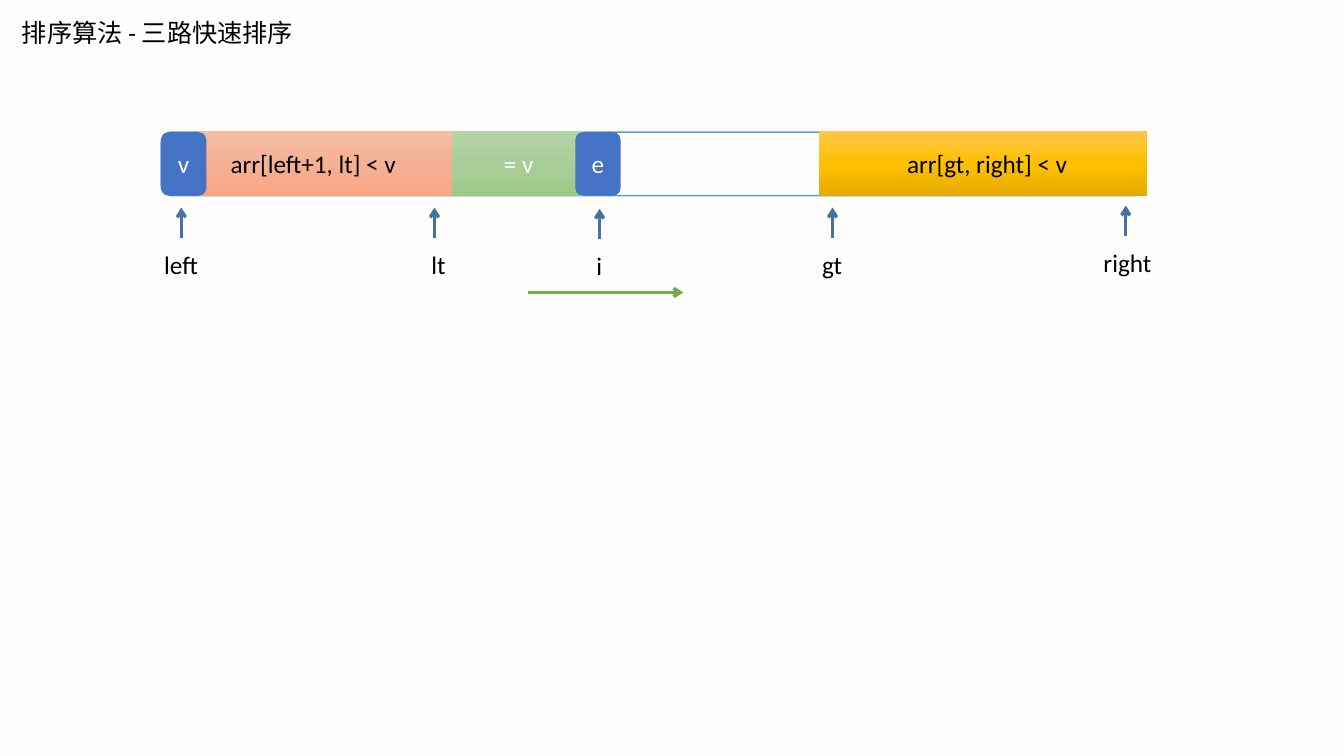
from copy import deepcopy
from lxml import etree
from pptx import Presentation
from pptx import util as u
from pptx.dml import color
from pptx.enum import shapes, text
from pptx.oxml import ns

TITLE = "排序算法 - 三路快速排序"
BARS = [
    ("rect", 4.98, 3.3, 6.45, 1.63, ["F7BDA5", "F5B196", "F8A582"], ""),
    ("round", 4.06, 3.33, 1.14, 1.6, ["4472C4"], "v"),
    ("rect", 20.65, 3.3, 8.26, 1.65, ["FFC64B", "FFC000", "E3AB00"], ""),
    ("rect", 11.38, 3.3, 3.38, 1.63, ["B5D5A7", "AACE9A", "9CC987"], "= v"),
    ("round", 14.5, 3.33, 1.14, 1.6, ["4472C4"], "e"),
]
RANGES = [("arr[left+1, lt] < v", 5.56), ("arr[gt, right] < v", 22.61)]
MARKS = [
    ("left", 3.89, 1.7, 4.57, 0),
    ("lt", 10.62, 0.97, 10.95, 0),
    ("gt", 20.47, 1.14, 20.98, 0),
    ("right", 27.56, 1.8, 28.37, -0.05),
    ("i", 14.78, 0.97, 15.11, 0.03),
]
KINDS = {
    "rect": shapes.MSO_SHAPE.RECTANGLE,
    "round": shapes.MSO_SHAPE.ROUNDED_RECTANGLE,
}


def rgb(code):
    return color.RGBColor.from_string(code)


def cm(*nums):
    return [u.Cm(n) for n in nums]


def write(shape, words, ink="000000", align=text.PP_ALIGN.LEFT,
          anchor=text.MSO_ANCHOR.TOP, grow=True):
    frame = shape.text_frame
    frame.word_wrap = True
    frame.vertical_anchor = anchor
    if grow:
        frame.auto_size = text.MSO_AUTO_SIZE.SHAPE_TO_FIT_TEXT
    line = frame.paragraphs[0]
    line.alignment = align
    line.line_spacing = 1.0
    run = line.add_run()
    run.text = words
    run.font.size = u.Pt(18)
    run.font.name = "Calibri"
    run.font.color.rgb = rgb(ink)


def label(home, words, *box):
    write(home.add_textbox(*cm(*box)), words)


def block(home, kind, *box):
    shape = home.add_shape(KINDS[kind], *cm(*box))
    shape.shadow.inherit = False
    return shape


def paint(shape, tones):
    shape.line.fill.background()
    fill = shape.fill
    if len(tones) == 1:
        fill.solid()
        fill.fore_color.rgb = rgb(tones[0])
        return
    fill.gradient()
    fill.gradient_angle = 270
    stops = shape._element.spPr.find(".//" + ns.qn("a:gsLst"))
    stops.append(deepcopy(stops[0]))
    for k, (stop, tone) in enumerate(zip(fill.gradient_stops, tones)):
        stop.color.rgb = rgb(tone)
        stop.position = k / (len(tones) - 1)


def arrow(home, ink, *ends):
    line = home.add_connector(shapes.MSO_CONNECTOR.STRAIGHT, *cm(*ends))
    line.line.color.rgb = rgb(ink)
    line.line.width = u.Pt(2.25)
    props = line._element.spPr
    tip = etree.SubElement(props.find(ns.qn("a:ln")), ns.qn("a:tailEnd"))
    tip.set("type", "arrow")
    etree.SubElement(props, ns.qn("a:effectLst"))


def main():
    deck = Presentation()
    deck.slide_width, deck.slide_height = cm(33.87, 19.05)
    slide = deck.slides.add_slide(deck.slide_layouts[5])
    back = slide.background.fill
    back.solid()
    back.fore_color.rgb = rgb("FFFEFD")
    home = slide.shapes

    head = home.title
    head.left, head.top, head.width, head.height = cm(0.3, 0.3, 11.28, 1.02)
    write(head, TITLE)

    frame = block(home, "round", 4.06, 3.33, 24.82, 1.6)
    frame.fill.background()
    frame.line.color.rgb = rgb("5B9BD5")
    frame.line.width = u.Pt(1)

    for kind, x, y, w, h, tones, words in BARS:
        bar = block(home, kind, x, y, w, h)
        paint(bar, tones)
        if words:
            write(bar, words, ink="FFFFFF", align=text.PP_ALIGN.CENTER,
                  anchor=text.MSO_ANCHOR.MIDDLE, grow=False)

    for words, x in RANGES:
        label(home, words, x, 3.61, 5.36, 1.02)

    for words, x, w, tip, shift in MARKS:
        group = home.add_group_shape().shapes
        label(group, words, x, 6.15 + shift, w, 1.02)
        arrow(group, "43739E", tip, 5.99 + shift, tip, 5.23 + shift)

    arrow(home, "70AD47", 13.31, 7.37, 17.22, 7.37)
    deck.save("out.pptx")


if __name__ == "__main__":
    main()
